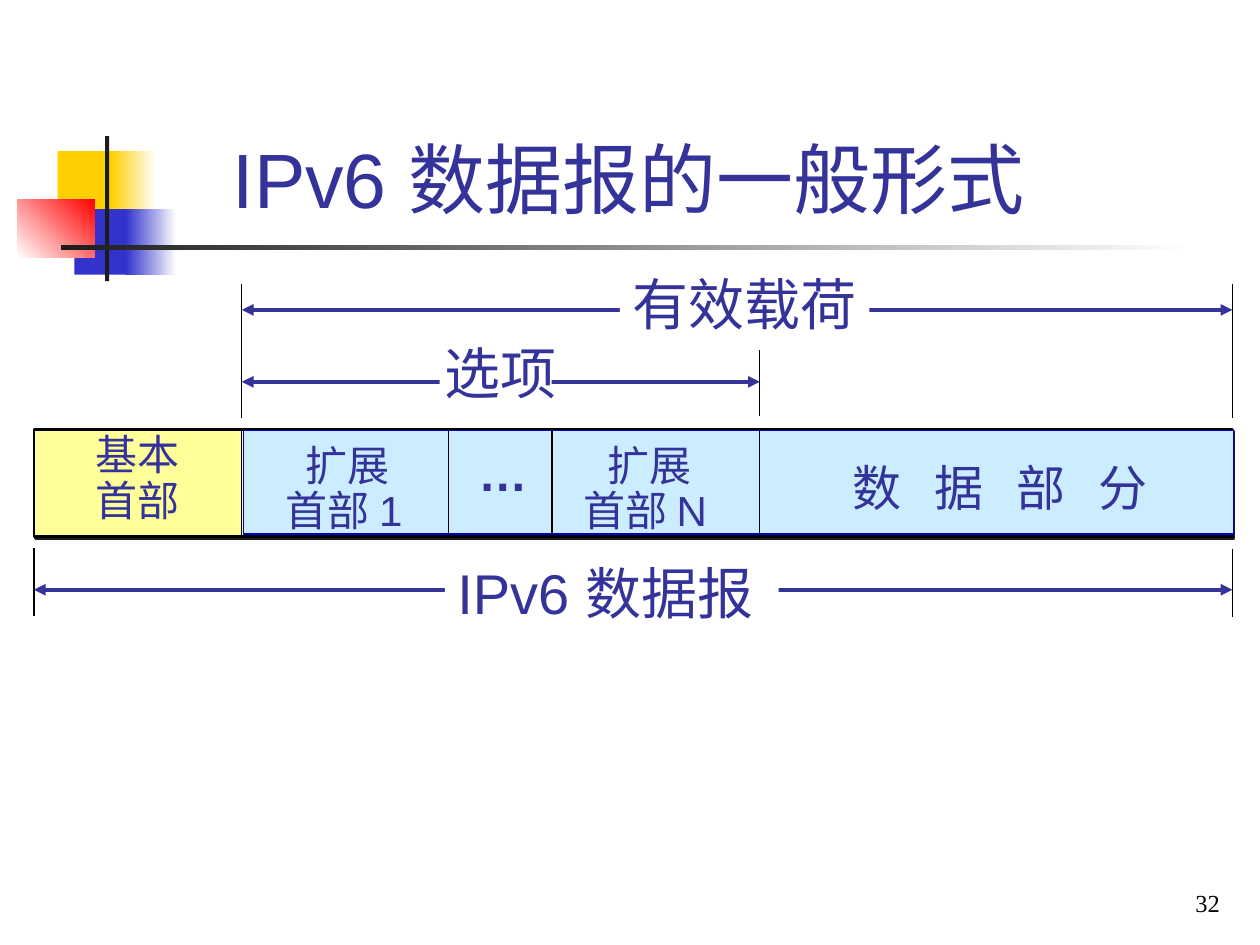
from lxml.etree import SubElement
from pptx import Presentation
from pptx.dml.color import RGBColor
from pptx.enum.shapes import MSO_CONNECTOR as Conn, MSO_SHAPE as Kind
from pptx.enum.text import MSO_ANCHOR as Anchor, MSO_AUTO_SIZE as Auto, PP_ALIGN as Align
from pptx.oxml.ns import qn
from pptx.util import Pt

INK, BLACK, WHITE, DARK = "333399", "000000", "FFFFFF", "1C1C1C"
LEFT, BASE, OPT, END = 19.4, 138.2, 434.2, 704.2
TOP, FOOT = 245.5, 306.7


def paint(color, code):
    color.rgb = RGBColor.from_string(code)


def fill_in(fill, code):
    fill.solid()
    paint(fill.fore_color, code)


def rect(slide, box, code, line=None, width=0):
    shape = slide.shapes.add_shape(Kind.RECTANGLE, *map(Pt, box))
    shape.shadow.inherit = False
    fill_in(shape.fill, code)
    if line:
        paint(shape.line.color, line)
        shape.line.width = Pt(width)
    else:
        shape.line.fill.background()
    return shape


def fade(slide, box, start, end, angle=0):
    """Add a rectangle with a two-colour gradient; angle is counter-clockwise."""
    fill = rect(slide, box, start).fill
    fill.gradient()
    fill.gradient_angle = angle
    for stop, code in zip(fill.gradient_stops, (start, end)):
        paint(stop.color, code)


def cast(shape):
    """Give the shape a thin hard shadow to the lower right."""
    effects = shape._element.spPr.find(qn("a:effectLst"))
    outer = SubElement(effects, qn("a:outerShdw"), blurRad="0",
                       dist=str(Pt(1.4)), dir="2700000", algn="ctr", rotWithShape="0")
    SubElement(outer, qn("a:srgbClr"), val=DARK)


def rule(slide, x1, y1, x2, y2, code=BLACK, width=0.75):
    line = slide.shapes.add_connector(Conn.STRAIGHT, *map(Pt, (x1, y1, x2, y2)))
    paint(line.line.color, code)
    line.line.width = Pt(width)
    SubElement(line._element.spPr, qn("a:effectLst"))
    return line


def span(slide, x1, x2, y):
    """Add a dimension line with an arrowhead at both ends."""
    stroke = rule(slide, x1, y, x2, y, INK, 2.25).line._get_or_add_ln()
    for end in ("headEnd", "tailEnd"):
        SubElement(stroke, qn("a:" + end), type="triangle")


def add_run(para, text, size, code=INK, face="Arial", bold=False):
    run = para.add_run()
    run.text = text
    font = run.font
    font.size, font.name, font.bold = Pt(size), face, bold
    paint(font.color, code)
    return run


def label(slide, box, rows, align=Align.LEFT, bold=False, gap=None, back=None):
    """Add text; each row is a list of (text, size) runs, gap is letter spacing."""
    shape = slide.shapes.add_textbox(*map(Pt, box))
    if back:
        fill_in(shape.fill, back)
    frame = shape.text_frame
    frame.word_wrap = True
    frame.auto_size = Auto.NONE
    frame.margin_left = Pt(7.2 if align == Align.LEFT else 0)
    frame.margin_right = 0
    for i, row in enumerate(rows):
        para = frame.add_paragraph() if i else frame.paragraphs[0]
        para.alignment = align
        if len(rows) > 1:
            para.line_spacing = 0.9
        for text, size in row:
            run = add_run(para, text, size, bold=bold)
            if gap:
                run.font._element.set("spc", str(int(gap * 100)))


def decor(slide):
    for x, y, wide, tail, wash, code in (
            (33, 86.4, 34.6, 63.4, 25.9, "FFCF01"),
            (42.5, 119.5, 33, 72, 28.8, "3333CC")):
        rect(slide, (x, y, wide, 37.4), code)
        fade(slide, (tail, y, wash, 37.4), code, WHITE)
    fade(slide, (10, 113.8, 44, 33.2), WHITE, "FF0000", 45)
    rect(slide, (60, 77.8, 2.4, 82.8), DARK)
    fade(slide, (34.6, 140.2, 648, 2.5), DARK, WHITE)


def heading(slide):
    title = slide.shapes.title
    title.left, title.top, title.width, title.height = map(Pt, (90.7, 16.6, 547.2, 115.2))
    frame = title.text_frame
    frame.vertical_anchor = Anchor.BOTTOM
    para = frame.paragraphs[0]
    para.alignment = Align.CENTER
    add_run(para, "IPv6 数据报的一般形式 ", 44)


def packet(slide):
    cast(rect(slide, (LEFT, TOP, END - LEFT, FOOT - TOP), "FFFF99", BLACK, 1.5))
    rect(slide, (139, 246.2, 566, 59), "CCECFF", "0000CC", 0.75)
    for x in (BASE, 256.3, 315.4, OPT):
        rule(slide, x, TOP, x, FOOT)
    label(slide, (47.5, 244.8, 62, 59), [[("基本", 24)], [("首部", 24)]], Align.CENTER)
    for x, wide, mark in ((153.4, 86.4, "1"), (323.3, 90.7, "N")):
        rows = [[(" ", 20), ("扩展", 24)], [("首部 " + mark, 24)]]
        label(slide, (x, 250.6, wide, 59), rows, Align.CENTER)
    label(slide, (258.5, 249.1, 54, 41), [[(" …", 28)]], bold=True)
    label(slide, (480.2, 257.8, 196, 41), [[("数 据 部 分", 28)]], gap=6.3)


def spans(slide):
    for x, y1, y2 in ((BASE, 162, 239), (END, 162, 239), (OPT, 200.2, 237.6),
                      (LEFT, 313.2, 352.1), (END, 313.9, 352.8)):
        rule(slide, x, y1, x, y2)
    span(slide, BASE, OPT, 218.2)
    rect(slide, (251.3, 200.2, 64, 32.4), WHITE)
    label(slide, (247, 190, 78.5, 46), [[("选项", 32)]])
    for x, y, box, text in (
            (LEFT, 337, (254.2, 315.4, 190.8, 46), "IPv6 数据报"),
            (BASE, 177.1, (354.2, 150.5, 142.6, 46), "有效载荷")):
        span(slide, x, END, y)
        label(slide, box, [[(text, 32)]], back=WHITE)


def number(slide):
    frame = slide.shapes.add_textbox(*map(Pt, (554.4, 491.8, 149.8, 36))).text_frame
    frame.word_wrap = True
    frame.vertical_anchor = Anchor.BOTTOM
    para = frame.paragraphs[0]
    para.alignment = Align.RIGHT
    add_run(para, "32", 14, BLACK, "Times New Roman")


def main():
    deck = Presentation()
    deck.slide_width, deck.slide_height = Pt(720), Pt(540)
    slide = deck.slides.add_slide(deck.slide_layouts[5])
    for part in (decor, heading, packet, spans, number):
        part(slide)
    deck.save("out.pptx")


if __name__ == "__main__":
    main()
